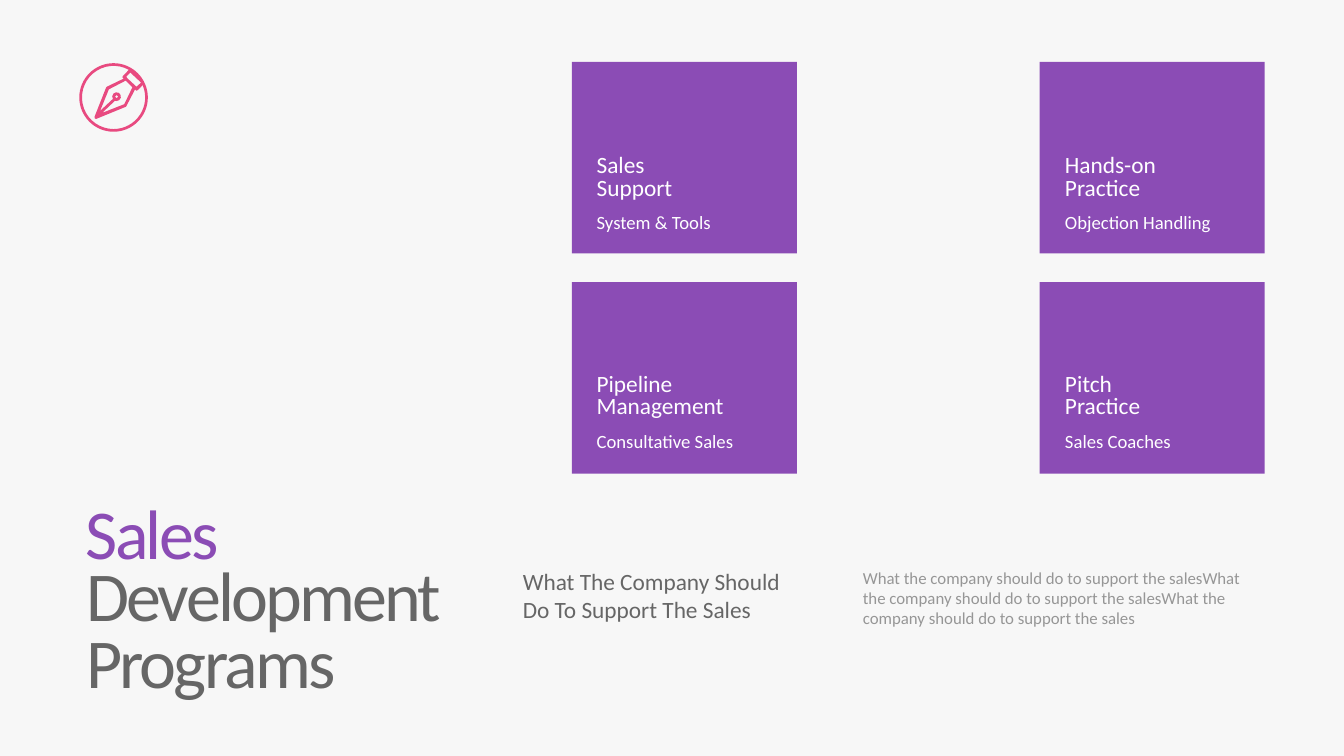
import math
from dataclasses import dataclass

import pptx
import pptx.dml.color
import pptx.enum.shapes
import pptx.enum.text
import pptx.util
from lxml import etree
from pptx.util import Inches

PURPLE, PINK, GRAY, LIGHT_GRAY = "8B4CB5", "E84A80", "666666", "969696"
WHITE, BACKGROUND = "FFFFFF", "F7F7F7"
DRAWING_NS = "{http://schemas.openxmlformats.org/drawingml/2006/main}"
CARD_WIDTH, CARD_HEIGHT = 3.35, 2.85

Point = tuple[float, float]
Segment = tuple[Point, ...]


@dataclass(frozen=True)
class Box:
    left: float
    top: float
    width: float
    height: float

    def lengths(self) -> list[int]:
        return [Inches(n) for n in (self.left, self.top, self.width, self.height)]


@dataclass(frozen=True)
class TextStyle:
    size: float
    color: str
    line_spacing: float = 0.8
    tracking: int = 0


@dataclass(frozen=True)
class Card:
    heading: str
    subtitle: str
    column: int
    row: int
    heading_width: float


HEADLINE = TextStyle(75, GRAY, tracking=-300)
HEADLINE_ACCENT = TextStyle(75, PURPLE, tracking=-300)
LEAD = TextStyle(25, GRAY, 1.0)
DETAIL = TextStyle(18, LIGHT_GRAY, 1.0)
CARD_HEADING = TextStyle(25, WHITE)
CARD_SUBTITLE = TextStyle(20, WHITE)

COLUMN_LEFTS, TEXT_LEFTS = (8.51, 15.47), (8.78, 15.75)
ROW_TOPS, HEADING_TOPS, SUBTITLE_TOPS = (0.92, 4.2), (2.27, 5.52), (3.15, 6.41)

CARDS = (
    Card("Hands-on Practice", "Objection Handling", 1, 0, 1.86),
    Card("Sales Support", "System & Tools", 0, 0, 1.76),
    Card("Pitch Practice", "Sales Coaches", 1, 1, 1.86),
    Card("Pipeline Management", "Consultative Sales", 0, 1, 2.8),
)


def rgb(value: str) -> pptx.dml.color.RGBColor:
    return pptx.dml.color.RGBColor.from_string(value)


def paint(shape, color: str) -> None:
    shape.shadow.inherit = False
    shape.fill.solid()
    shape.fill.fore_color.rgb = rgb(color)
    shape.line.fill.background()


def write(holder, box: Box, text: str, style: TextStyle) -> None:
    for side, length in zip(("left", "top", "width", "height"), box.lengths()):
        setattr(holder, side, length)
    frame = holder.text_frame
    frame_format = {
        "word_wrap": True,
        "auto_size": pptx.enum.text.MSO_AUTO_SIZE.NONE,
        "vertical_anchor": pptx.enum.text.MSO_ANCHOR.TOP,
    }
    for name, value in frame_format.items():
        setattr(frame, name, value)
    paragraph = frame.paragraphs[0]
    paragraph_format = {
        "alignment": pptx.enum.text.PP_ALIGN.LEFT,
        "line_spacing": style.line_spacing,
        "space_before": pptx.util.Pt(0),
    }
    for name, value in paragraph_format.items():
        setattr(paragraph, name, value)
    properties = paragraph._p.get_or_add_pPr()
    properties.set("marL", "0")
    properties.set("indent", "0")
    etree.SubElement(properties, DRAWING_NS + "buNone")
    run = paragraph.add_run()
    run.text = text
    font_format = {"name": "Calibri", "size": pptx.util.Pt(style.size), "bold": False}
    for name, value in font_format.items():
        setattr(run.font, name, value)
    run.font.color.rgb = rgb(style.color)
    if style.tracking:
        run._r.get_or_add_rPr().set("spc", str(style.tracking))


def add_text(slide, box: Box, text: str, style: TextStyle) -> None:
    write(slide.shapes.add_textbox(*box.lengths()), box, text, style)


def add_tile(slide, card: Card) -> None:
    tile = Box(COLUMN_LEFTS[card.column], ROW_TOPS[card.row], CARD_WIDTH, CARD_HEIGHT)
    rectangle = pptx.enum.shapes.MSO_SHAPE.RECTANGLE
    paint(slide.shapes.add_shape(rectangle, *tile.lengths()), PURPLE)


def add_card_text(slide, card: Card) -> None:
    left = TEXT_LEFTS[card.column]
    add_text(slide, Box(left, HEADING_TOPS[card.row], card.heading_width, 0.77),
             card.heading, CARD_HEADING)
    add_text(slide, Box(left, SUBTITLE_TOPS[card.row], 2.8, 0.33),
             card.subtitle, CARD_SUBTITLE)


def corners(*points: Point) -> list[Segment]:
    return [(point,) for point in points]


def arc(center: Point, radius: float, start: float, end: float) -> list[Segment]:
    count = math.ceil(abs(end - start) / 90)
    step = math.radians(end - start) / count
    pull = 4 / 3 * math.tan(step / 4)

    def on_circle(angle: float, tangent: float = 0) -> Point:
        cos, sin = math.cos(angle), math.sin(angle)
        return (center[0] + radius * (cos - tangent * sin),
                center[1] + radius * (sin + tangent * cos))

    angles = [math.radians(start) + step * i for i in range(count + 1)]
    return [(on_circle(angles[0],),)] + [
        (on_circle(a, pull), on_circle(b, -pull), on_circle(b))
        for a, b in zip(angles, angles[1:])
    ]


def add_outline(slide, contours: list[list[Segment]], color: str) -> None:
    def emu(point: Point) -> tuple[int, int]:
        return Inches(point[0]), Inches(point[1])

    builder = slide.shapes.build_freeform(*emu(contours[0][0][0]))
    for index, contour in enumerate(contours):
        if index:
            builder.move_to(*emu(contour[0][0]))
        builder.add_line_segments([emu(segment[-1]) for segment in contour[1:]], close=True)
    shape = builder.convert_to_shape()
    drawn = [segment for contour in contours for segment in contour[1:]]
    for line, segment in zip(list(shape._element.iter(DRAWING_NS + "lnTo")), drawn):
        if len(segment) == 3:
            line.clear()
            curve = etree.Element(DRAWING_NS + "cubicBezTo")
            for x, y in map(emu, segment):
                etree.SubElement(curve, DRAWING_NS + "pt",
                                 x=str(x - shape.left), y=str(y - shape.top))
            line.getparent().replace(line, curve)
    paint(shape, color)


def add_pen_icon(slide) -> None:
    ring_center, eye_center = (1.69, 1.45), (1.735, 1.438)
    ring = arc(ring_center, 0.51, 0, 360)
    surround = arc(ring_center, 0.47, 90, 299) + corners(
        (1.83, 1.13), (1.82, 1.15), (1.84, 1.17), (1.59, 1.29), (1.58, 1.3),
        (1.41, 1.73), (1.41, 1.76), (1.43, 1.77), (1.87, 1.59), (1.88, 1.58),
        (2.01, 1.33), (2.03, 1.35), (2.05, 1.34),
    ) + arc(ring_center, 0.47, -23, 90)
    nib = arc(eye_center, 0.065, 90, -212) + corners(
        (1.49, 1.65), (1.62, 1.33), (1.87, 1.2), (1.97, 1.3),
        (1.85, 1.55), (1.52, 1.68), (1.71, 1.5),
    )
    eye = arc(eye_center, 0.025, 0, 360)
    cap = corners((1.89, 1.16), (1.88, 1.14), (1.94, 1.08),
                  (2.1, 1.23), (2.03, 1.29), (2.02, 1.28))
    add_outline(slide, [ring, surround, nib, eye, cap], PINK)


def main() -> None:
    presentation = pptx.Presentation()
    presentation.slide_width, presentation.slide_height = Inches(20), Inches(11.25)
    slide = presentation.slides.add_slide(presentation.slide_layouts[3])
    slide.background.fill.solid()
    slide.background.fill.fore_color.rgb = rgb(BACKGROUND)

    support = "What the company should do to support the sales"
    title, lead, detail = slide.placeholders
    for card in CARDS:
        add_tile(slide, card)
    add_pen_icon(slide)
    write(title, Box(1.18, 8.4, 5.61, 1.91), "Development Programs", HEADLINE)
    add_text(slide, Box(1.18, 7.47, 3.52, 0.91), "Sales", HEADLINE_ACCENT)
    write(lead, Box(7.68, 8.39, 4.18, 1.26), support.title(), LEAD)
    write(detail, Box(12.74, 8.4, 6.08, 1.91), support * 3, DETAIL)
    for card in CARDS:
        add_card_text(slide, card)
    presentation.save("out.pptx")


if __name__ == "__main__":
    main()
